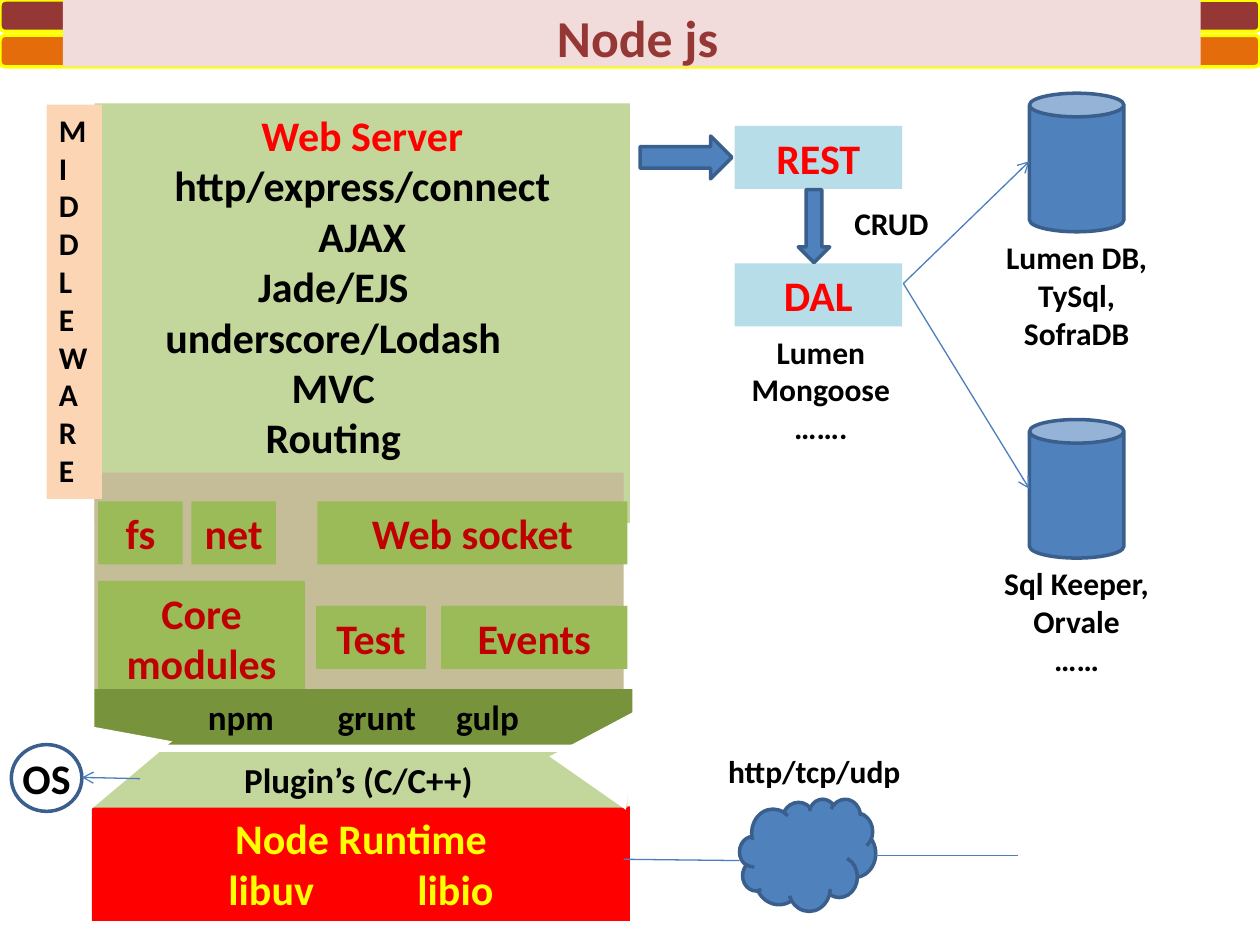
from lxml.etree import SubElement
from pptx import Presentation
from pptx.dml.color import RGBColor
from pptx.enum.shapes import MSO_CONNECTOR as CONNECTOR, MSO_SHAPE as SHAPE
from pptx.enum.text import MSO_ANCHOR as ANCHOR, PP_ALIGN as ALIGN
from pptx.oxml.ns import qn
from pptx.util import Inches, Pt

BLACK = RGBColor(0x00, 0x00, 0x00)
WHITE = RGBColor(0xFF, 0xFF, 0xFF)
RED = RGBColor(0xFF, 0x00, 0x00)
DARK_RED = RGBColor(0xC0, 0x00, 0x00)
MAROON = RGBColor(0x95, 0x37, 0x35)
ORANGE = RGBColor(0xE4, 0x6C, 0x0A)
YELLOW = RGBColor(0xFF, 0xFF, 0x00)
PINK = RGBColor(0xF2, 0xDC, 0xDB)
PEACH = RGBColor(0xFC, 0xD5, 0xB5)
TAN = RGBColor(0xC4, 0xBD, 0x97)
GREEN = RGBColor(0x9B, 0xBB, 0x59)
LIGHT_GREEN = RGBColor(0xC3, 0xD6, 0x9B)
DARK_GREEN = RGBColor(0x77, 0x93, 0x3C)
LIGHT_BLUE = RGBColor(0xB7, 0xDE, 0xE8)
BLUE = RGBColor(0x4F, 0x81, 0xBD)
OUTLINE_BLUE = RGBColor(0x3A, 0x5F, 0x8C)
LINE_BLUE = RGBColor(0x4B, 0x7E, 0xBC)


def write(shape, text, size, color, align=ALIGN.CENTER, wrap=True):
    """Fill a shape with bold Calibri text from its top edge."""
    frame = shape.text_frame
    frame.text = text
    frame.word_wrap = wrap
    frame.vertical_anchor = ANCHOR.TOP
    for paragraph in frame.paragraphs:
        paragraph.alignment = align
        for run in paragraph.runs:
            run.font.name = "Calibri"
            run.font.size = Pt(size)
            run.font.bold = True
            run.font.color.rgb = color


def add_shape(slide, kind, left, top, width, height, fill=None, outline=None, rotation=0):
    """Add a preset shape with a flat fill and an optional 2 pt outline."""
    shape = slide.shapes.add_shape(kind, Inches(left), Inches(top), Inches(width), Inches(height))
    shape.shadow.inherit = False
    shape.rotation = rotation
    if fill is None:
        shape.fill.background()
    else:
        shape.fill.solid()
        shape.fill.fore_color.rgb = fill
    if outline is None:
        shape.line.fill.background()
    else:
        shape.line.color.rgb = outline
        shape.line.width = Pt(2)
    return shape


def add_block(slide, left, top, width, height, fill, text, size, color, align=ALIGN.CENTER):
    """Add a filled rectangle that carries text."""
    block = add_shape(slide, SHAPE.RECTANGLE, left, top, width, height, fill)
    write(block, text, size, color, align)
    return block


def add_label(slide, left, top, width, height, text, size=18, align=ALIGN.CENTER, wrap=True):
    """Add a plain black text box."""
    label = slide.shapes.add_textbox(Inches(left), Inches(top), Inches(width), Inches(height))
    write(label, text, size, BLACK, align, wrap)


def add_line(slide, start, end, arrow=False):
    """Add a thin straight connector, with an open arrowhead if asked."""
    points = [Inches(value) for value in (*start, *end)]
    line = slide.shapes.add_connector(CONNECTOR.STRAIGHT, *points)
    line.line.color.rgb = LINE_BLUE
    line.line.width = Pt(0.75)
    if arrow:
        SubElement(line.line._get_or_add_ln(), qn("a:tailEnd"), type="arrow")
    SubElement(line._element.spPr, qn("a:effectLst"))


def add_header(slide, left, top, width):
    """Draw the striped title band."""
    for offset, color in ((0.28, ORANGE), (0, MAROON)):
        add_shape(slide, SHAPE.ROUNDED_RECTANGLE, left, top + offset, width, 0.25, color, YELLOW)
    add_block(slide, left + 0.5, top, width - 0.97, 0.53, PINK, " Node js", 29.6, MAROON)


def add_database(slide, left, top, names):
    """Draw a database can with its product names below."""
    add_shape(slide, SHAPE.CAN, left + 0.39, top, 0.75, 1.1, BLUE, OUTLINE_BLUE)
    add_label(slide, left, top + 1.1, 1.53, 1.01, names)


def add_data_access(slide, left, top):
    """Draw the REST and DAL boxes, their arrows and the links to the databases."""
    box_left = left + 0.75
    for offset, name in ((0, "REST"), (1.09, "DAL")):
        add_block(slide, box_left, top + offset, 1.33, 0.5, LIGHT_BLUE, name, 24, RED)
    add_shape(slide, SHAPE.RIGHT_ARROW, left, top + 0.08, 0.73, 0.34, BLUE, OUTLINE_BLUE)
    add_shape(slide, SHAPE.RIGHT_ARROW, left + 1.09, top + 0.67, 0.58, 0.25, BLUE, OUTLINE_BLUE, 90)
    add_label(slide, left + 1.23, top + 0.57, 1.53, 0.4, "CRUD")
    add_label(slide, left + 0.67, top + 1.59, 1.53, 1.01, "Lumen\nMongoose\n…….")
    for offset in (0.28, 2.88):
        add_line(slide, (left + 2.09, top + 1.25), (left + 3.09, top + offset), arrow=True)


def add_web_server(slide, left, top):
    """Draw the web server panel."""
    lines = ["Web Server", "http/express/connect", "AJAX", "Jade/EJS",
             "underscore/Lodash", "MVC", "Routing"]
    panel = add_block(slide, left, top, 4.25, 3.33, LIGHT_GREEN, "\n".join(lines), 24, BLACK)
    paragraphs = panel.text_frame.paragraphs
    paragraphs[0].runs[0].font.color.rgb = RED
    indented = paragraphs[lines.index("Jade/EJS")]
    indented._p.get_or_add_pPr().set("marR", str(Inches(0.46)))


def add_modules(slide, left, top):
    """Draw the panel of core modules."""
    add_shape(slide, SHAPE.RECTANGLE, left, top, 4.2, 1.72, TAN)
    modules = [
        ("fs", 0.03, 0.23, 0.67, 0.5),
        ("net", 0.77, 0.23, 0.67, 0.5),
        ("Web socket", 1.77, 0.23, 2.46, 0.5),
        ("Core modules", 0.03, 0.86, 1.64, 0.91),
        ("Test", 1.76, 1.06, 0.87, 0.5),
        ("Events", 2.75, 1.06, 1.48, 0.5),
    ]
    for name, x, y, width, height in modules:
        add_block(slide, left + x, top + y, width, height, GREEN, name, 24, DARK_RED)


def add_runtime(slide, left, top):
    """Draw the tools, plugin and runtime bars with their cut corners."""
    tools = add_block(slide, left + 0.04, top, 4.27, 0.44, DARK_GREEN,
                      "npm\tgrunt\tgulp", 20, BLACK, ALIGN.LEFT)
    tools.text_frame.margin_left = Inches(0.9)
    properties = tools.text_frame.paragraphs[0]._p.get_or_add_pPr()
    tab_list = SubElement(properties, qn("a:tabLst"))
    for position in (1.03, 1.97):
        SubElement(tab_list, qn("a:tab"), pos=str(Inches(position)), algn="l")
    add_block(slide, left + 0.02, top + 0.93, 4.27, 0.91, RED,
              "Node Runtime\nlibuv\t\tlibio", 24, YELLOW)
    add_block(slide, left, top + 0.5, 4.27, 0.44, LIGHT_GREEN, "Plugin’s (C/C++)", 20, BLACK)
    for x, y, width, height, angle in ((-0.27, 0.23, 0.86, 0.52, 320),
                                       (3.79, 0.09, 0.74, 0.72, 34.9)):
        add_shape(slide, SHAPE.ISOSCELES_TRIANGLE, left + x, top + y, width, height,
                  WHITE, rotation=angle)


def add_middleware(slide, left, top):
    """Draw the vertical middleware strip."""
    letters = "\n".join(["M", "I", "D", "D", "L\vE", "W", "A", "R", "E"])
    add_block(slide, left, top, 0.44, 3.13, PEACH, letters, 18, BLACK, ALIGN.LEFT)


def add_system(slide, left, top):
    """Draw the operating system circle and the arrow that reaches it."""
    add_shape(slide, SHAPE.OVAL, left, top, 0.56, 0.53, outline=OUTLINE_BLUE)
    add_label(slide, left - 0.01, top + 0.01, 0.59, 0.5, "OS", 24, ALIGN.LEFT, wrap=False)
    add_line(slide, (left + 1.02, top + 0.27), (left + 0.56, top + 0.26), arrow=True)


def add_network(slide, left, top):
    """Draw the network cloud with its links and protocols."""
    add_label(slide, left + 0.73, top, 1.91, 0.4, "http/tcp/udp", align=ALIGN.LEFT)
    add_shape(slide, SHAPE.CLOUD, left + 0.92, top + 0.42, 1.08, 0.89, BLUE, OUTLINE_BLUE)
    add_line(slide, (left, top + 0.9), (left + 0.92, top + 0.91))
    add_line(slide, (left + 2, top + 0.87), (left + 3.13, top + 0.87))


def main():
    """Build the slide and save it."""
    presentation = Presentation()
    presentation.slide_width = Inches(10)
    presentation.slide_height = Inches(7.5)
    slide = presentation.slides.add_slide(presentation.slide_layouts[6])
    add_header(slide, 0, 0, 10)
    add_database(slide, 7.78, 0.74, "Lumen DB,\nTySql,\nSofraDB")
    add_database(slide, 7.78, 3.33, "Sql Keeper,\nOrvale\n……")
    add_data_access(slide, 5.08, 1)
    add_web_server(slide, 0.75, 0.82)
    add_modules(slide, 0.75, 3.75)
    add_runtime(slide, 0.71, 5.47)
    add_middleware(slide, 0.37, 0.83)
    add_system(slide, 0.09, 5.91)
    add_network(slide, 4.95, 5.92)
    presentation.save("out.pptx")


if __name__ == "__main__":
    main()
